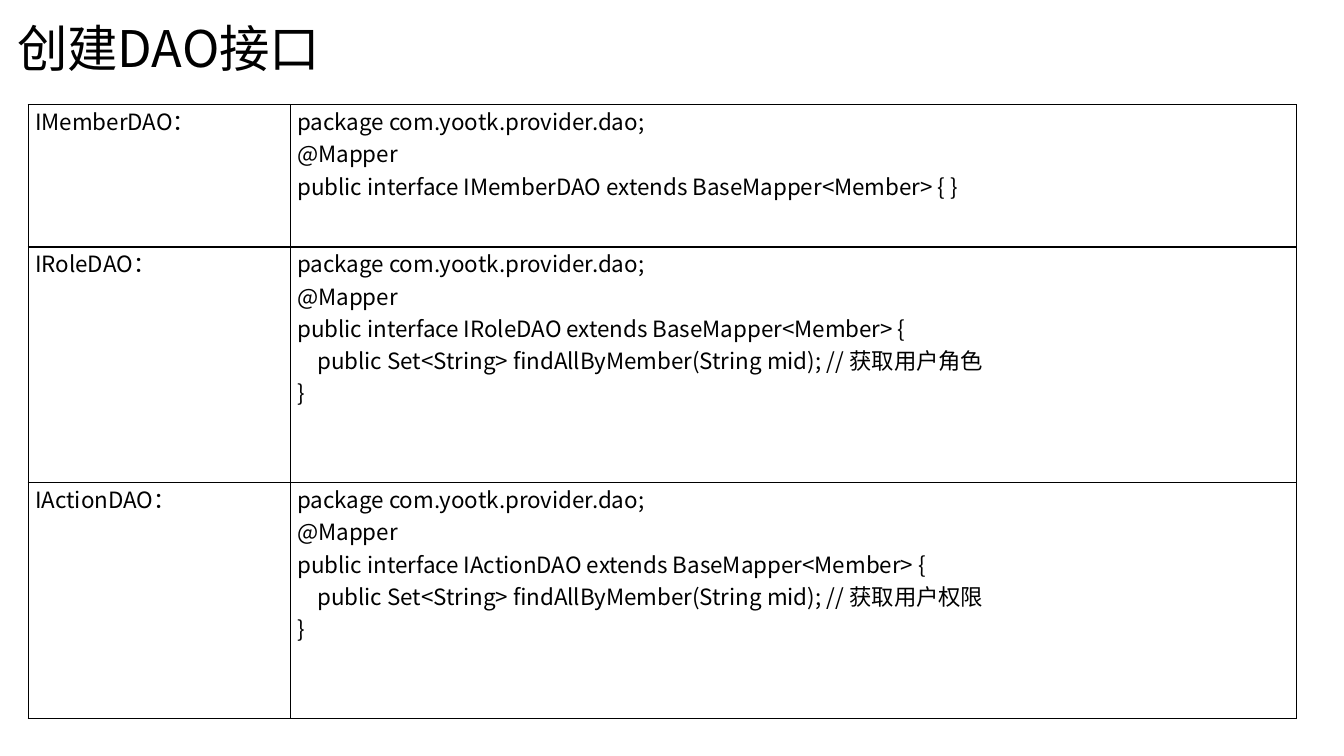
import pptx
import pptx.dml.color
import pptx.enum.text
import pptx.oxml.ns
import pptx.util
from lxml import etree

COLORS = {"ink": "000000", "paper": "FFFFFF"}
FONT = "Noto Sans CJK SC"
ALIGN = pptx.enum.text.PP_ALIGN
ANCHOR = pptx.enum.text.MSO_ANCHOR
qn = pptx.oxml.ns.qn


class SlideBuilder:
    """Holds the style and the current slide; lengths are percent of its size."""

    def __init__(self, deck):
        self.deck = deck
        self.page = deck.slides.add_slide(deck.slide_layouts[6])

    def across(self, percent):
        return round(self.deck.slide_width * percent / 100)

    def down(self, percent):
        return round(self.deck.slide_height * percent / 100)

    def color(self, name):
        return pptx.dml.color.RGBColor.from_string(COLORS[name])

    def fill_text(self, frame, text, size, align=ALIGN.LEFT):
        frame.word_wrap = True
        para = frame.paragraphs[0]
        para.text = text
        para.alignment = align
        for span in para.runs:
            span.font.size = pptx.util.Pt(size)
            span.font.name = FONT
            span.font.color.rgb = self.color("ink")
            east_asian = etree.SubElement(span.font._element, qn("a:ea"))
            east_asian.set("typeface", FONT)
        # Line breaks take the text size too
        for line_break in para._p.findall(qn("a:br")):
            etree.SubElement(line_break, qn("a:rPr")).set("sz", str(size * 100))
        return para

    def title(self, left, top, width, height, text):
        box = self.page.shapes.add_textbox(
            self.across(left), self.down(top), self.across(width), self.down(height))
        box.text_frame.vertical_anchor = ANCHOR.MIDDLE
        self.fill_text(box.text_frame, text, 36).line_spacing = 0.9

    def border(self, cell):
        properties = cell._tc.get_or_add_tcPr()
        for position, side in enumerate(("a:lnL", "a:lnR", "a:lnT", "a:lnB")):
            line = etree.Element(qn(side), w=str(pptx.util.Pt(1)))
            fill = etree.SubElement(line, qn("a:solidFill"))
            etree.SubElement(fill, qn("a:srgbClr")).set("val", COLORS["ink"])
            properties.insert(position, line)

    def table(self, left, top, widths, heights, rows):
        table = self.page.shapes.add_table(
            len(heights), len(widths), self.across(left), self.down(top),
            self.across(sum(widths)), self.down(sum(heights))).table
        table.first_row = table.horz_banding = False
        for column, width in zip(table.columns, widths):
            column.width = self.across(width)
        for row, height, texts in zip(table.rows, heights, rows):
            row.height = self.down(height)
            for cell, text, align in zip(row.cells, texts, (ALIGN.JUSTIFY, ALIGN.LEFT)):
                cell.margin_left = cell.margin_right = pptx.util.Inches(0.07)
                cell.margin_top = cell.margin_bottom = 0
                cell.fill.solid()
                cell.fill.fore_color.rgb = self.color("paper")
                self.border(cell)
                self.fill_text(cell.text_frame, text, 16, align)


def dao_row(name, comment=None):
    """Label and source code of one DAO interface."""
    head = f"public interface {name} extends BaseMapper<Member> {{"
    lines = ["package com.yootk.provider.dao;", "@Mapper"]
    if comment:
        method = f"    public Set<String> findAllByMember(String mid); // {comment}"
        lines += [head, method, "}"]
    else:
        lines.append(head + " }")
    return f"{name}：", "\v".join(lines)


def main():
    deck = pptx.Presentation()
    deck.slide_width = pptx.util.Inches(13.33)
    deck.slide_height = pptx.util.Inches(7.5)
    builder = SlideBuilder(deck)

    # Heading
    builder.title(0.53, 1.07, 98.65, 11.33, "创建DAO接口")

    # Interfaces and their code
    builder.table(2.1, 13.87, (19.5, 74.87), (18.8, 31.2, 31.2), (
        dao_row("IMemberDAO"),
        dao_row("IRoleDAO", "获取用户角色"),
        dao_row("IActionDAO", "获取用户权限"),
    ))

    deck.save("out.pptx")


if __name__ == "__main__":
    main()
